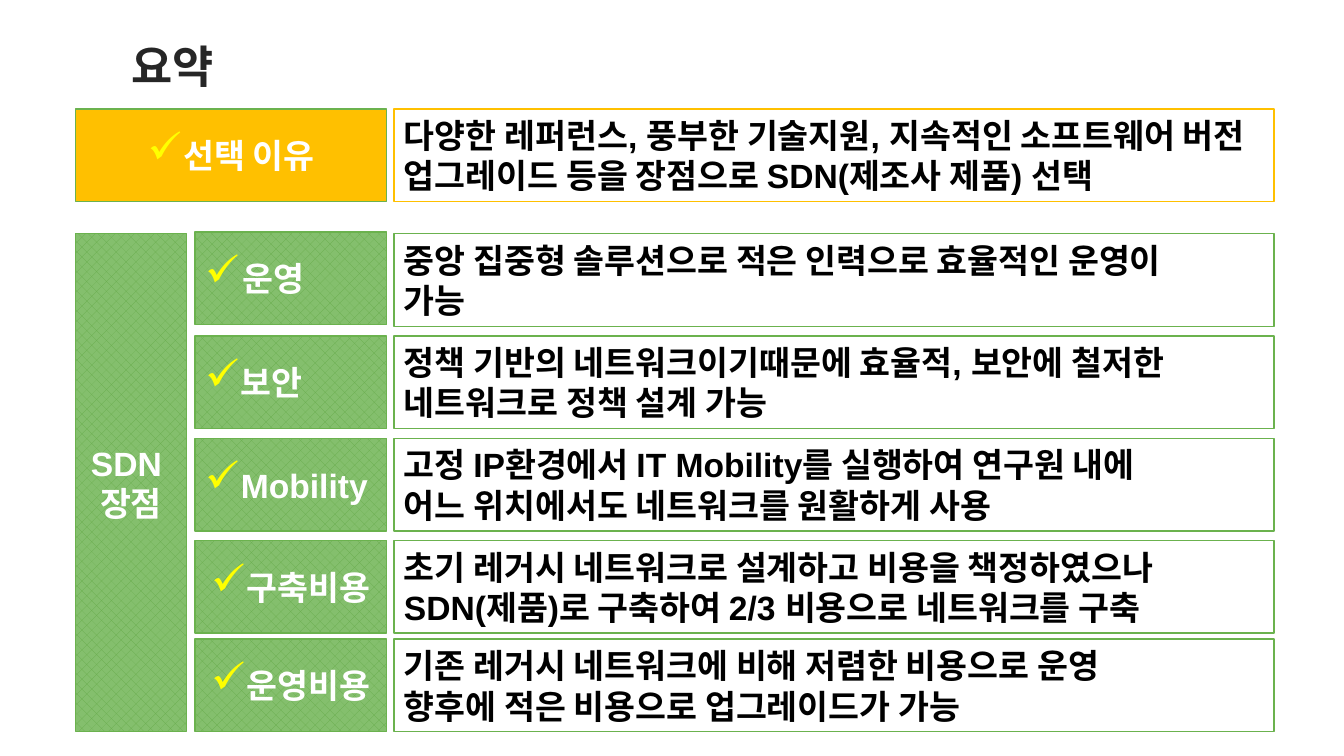
from pptx import Presentation
from pptx import util as u
from pptx.dml.color import RGBColor
from pptx.enum import dml, shapes, text
from pptx.oxml import parse_xml
from pptx.oxml.ns import nsdecls

WHITE = RGBColor(0xFF, 0xFF, 0xFF)
BLACK = RGBColor(0, 0, 0)
DARK = RGBColor(0x26, 0x26, 0x26)
AMBER = RGBColor(0xFF, 0xC0, 0x00)
GREEN_LINE = RGBColor(0x6B, 0xB2, 0x4E)
GREEN_DOTS = RGBColor(0x66, 0xAC, 0x4A)
GREEN_BACK = RGBColor(0x84, 0xBF, 0x6D)

BODY = {"size": u.Pt(24), "name": "Arial", "bold": True}
TITLE = {"size": u.Pt(32), "name": "Noto Sans CJK KR", "bold": True}
LEFT, CENTER = text.PP_ALIGN.LEFT, text.PP_ALIGN.CENTER

LEFT_EDGE, LABEL_RIGHT, DETAIL_LEFT = 54, 276.1, 281.5
CATEGORY_WIDTH, LABEL_LEFT, DETAIL_WIDTH, ROW_HEIGHT = 79.2, 139.2, 628.6, 66.2
REASON_TOP, FIRST_TOP, ROW_PITCH, LAST_TOP = 77.8, 167, 73, 456.5

REASON = "다양한 레퍼런스, 풍부한 기술지원, 지속적인 소프트웨어 버전 업그레이드 등을 장점으로 SDN(제조사 제품) 선택"
BENEFITS = [
    ("운영", LEFT, 27, -1.4,
     ["중앙 집중형 솔루션으로 적은 인력으로 효율적인 운영이", "가능"]),
    ("보안", LEFT, 22.5, 0,
     ["정책 기반의 네트워크이기때문에 효율적, 보안에 철저한", "네트워크로 정책 설계 가능"]),
    ("Mobility", LEFT, 22.5, 0,
     ["고정 IP환경에서 IT Mobility를 실행하여 연구원 내에", "어느 위치에서도 네트워크를 원활하게 사용"]),
    ("구축비용", CENTER, 22.5, 0,
     ["초기 레거시 네트워크로 설계하고 비용을 책정하였으나", "SDN(제품)로 구축하여 2/3 비용으로 네트워크를 구축"]),
    ("운영비용", CENTER, 22.5, 0,
     ["기존 레거시 네트워크에 비해 저렴한 비용으로 운영", "향후에 적은 비용으로 업그레이드가 가능"]),
]


def add_check(paragraph, indent):
    """Give the paragraph a yellow check mark with a hanging indent."""
    properties = paragraph._p.get_or_add_pPr()
    properties.set("marL", str(u.Pt(indent)))
    properties.set("indent", str(-u.Pt(indent)))
    for tag in (
        '<a:buClr {}><a:srgbClr val="FFFF00"/></a:buClr>',
        '<a:buSzPct {} val="130000"/>',
        '<a:buFont {} typeface="Wingdings"/>',
        '<a:buChar {} char="ü"/>',
    ):
        properties.append(parse_xml(tag.format(nsdecls("a"))))


def write_lines(shape, lines, color, font_values, align=LEFT, check_indent=0):
    """Write the lines as vertically centred paragraphs in the shape."""
    frame = shape.text_frame
    frame.word_wrap = True
    frame.vertical_anchor = text.MSO_ANCHOR.MIDDLE
    for index, line in enumerate(lines):
        paragraph = frame.add_paragraph() if index else frame.paragraphs[0]
        paragraph.alignment = align
        if check_indent:
            add_check(paragraph, check_indent)
        run = paragraph.add_run()
        run.text = line
        for name, value in font_values.items():
            setattr(run.font, name, value)
        run.font.color.rgb = color


def add_panel(slide, box, line_color, fill_color=None):
    """Add a square-cornered panel, dotted green when no fill colour is given."""
    kind = shapes.MSO_SHAPE.ROUND_2_SAME_RECTANGLE
    panel = slide.shapes.add_shape(kind, *map(u.Pt, box))
    panel.adjustments[0] = panel.adjustments[1] = 0
    panel.shadow.inherit = False
    panel.line.color.rgb = line_color
    panel.line.width = u.Pt(1)
    if fill_color is None:
        panel.fill.patterned()
        panel.fill.pattern = dml.MSO_PATTERN.PERCENT_30
        panel.fill.fore_color.rgb = GREEN_DOTS
        panel.fill.back_color.rgb = GREEN_BACK
    else:
        panel.fill.solid()
        panel.fill.fore_color.rgb = fill_color
    return panel


def add_title(slide, box):
    """Add the slide title."""
    title = slide.shapes.add_textbox(*map(u.Pt, box))
    write_lines(title, ["요약"], DARK, TITLE)
    title.text_frame.paragraphs[0].line_spacing = 0.9


def add_reason(slide, left, top):
    """Add the amber row giving the reason for the choice."""
    label = add_panel(slide, (left, top, LABEL_RIGHT - left, ROW_HEIGHT), GREEN_LINE, AMBER)
    write_lines(label, ["선택 이유"], WHITE, BODY, CENTER, 22.5)
    detail = add_panel(slide, (DETAIL_LEFT, top, DETAIL_WIDTH, ROW_HEIGHT), AMBER, WHITE)
    write_lines(detail, [REASON], BLACK, BODY)


def add_benefits(slide, left, top):
    """Add the category column and one row for each benefit."""
    height = LAST_TOP + ROW_HEIGHT - top
    category = add_panel(slide, (left, top, CATEGORY_WIDTH, height), GREEN_LINE)
    write_lines(category, ["SDN ", "장점"], WHITE, BODY, CENTER)
    for index, (name, align, indent, shift, lines) in enumerate(BENEFITS):
        row_top = min(top + index * ROW_PITCH, LAST_TOP)
        label_box = (LABEL_LEFT, row_top + shift, LABEL_RIGHT - LABEL_LEFT, ROW_HEIGHT)
        label = add_panel(slide, label_box, GREEN_LINE)
        write_lines(label, [name], WHITE, BODY, align, indent)
        detail_box = (DETAIL_LEFT, row_top, DETAIL_WIDTH, ROW_HEIGHT)
        detail = add_panel(slide, detail_box, GREEN_LINE, WHITE)
        write_lines(detail, lines, BLACK, BODY)


def main():
    """Build the summary slide and save it."""
    presentation = Presentation()
    presentation.slide_width = u.Pt(960)
    presentation.slide_height = u.Pt(540)
    slide = presentation.slides.add_slide(presentation.slide_layouts[6])
    add_title(slide, (87, 18.7, 823.7, 61.2))
    add_reason(slide, LEFT_EDGE, REASON_TOP)
    add_benefits(slide, LEFT_EDGE, FIRST_TOP)
    presentation.save("out.pptx")


if __name__ == "__main__":
    main()
